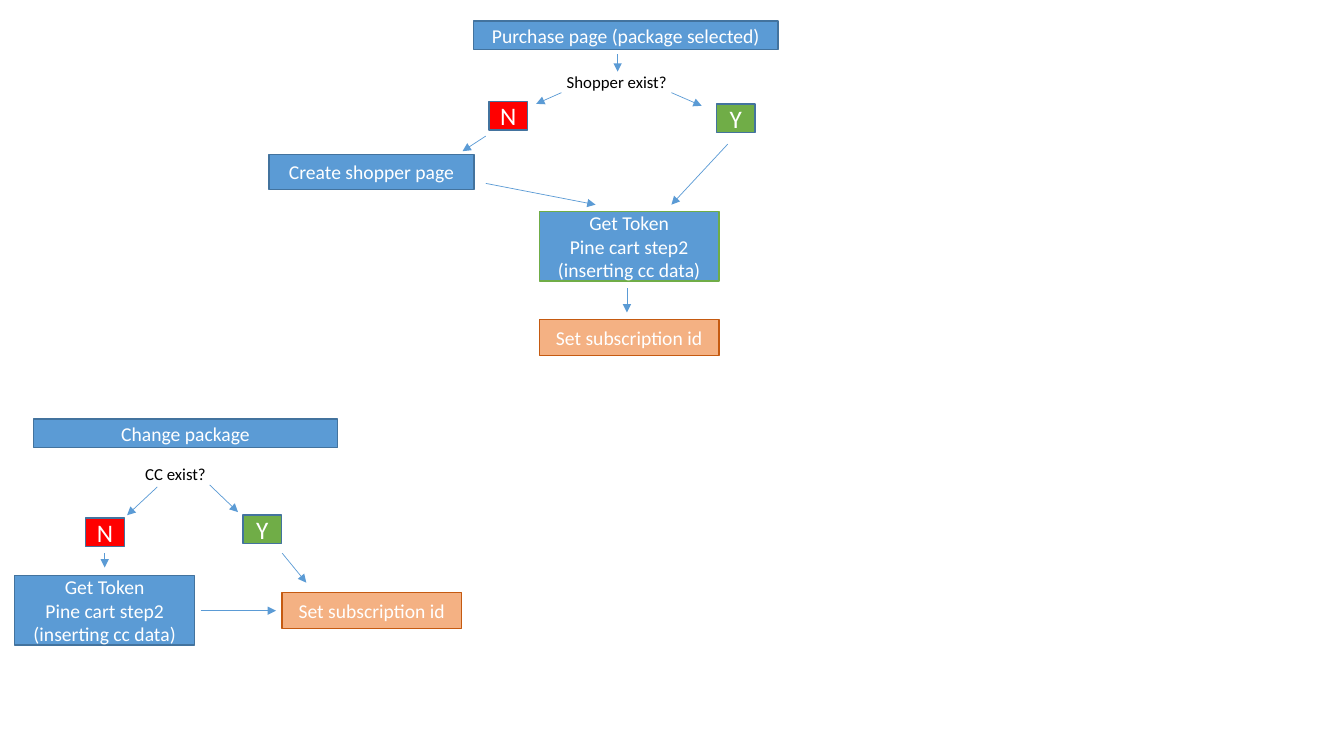
"""Build the purchase and change-package flow slide."""
from lxml import etree
from pptx import Presentation
from pptx.dml import color
from pptx.enum import shapes, text
from pptx.oxml import ns
from pptx.util import Pt

COLORS = {
    "blue": "5B9BD5", "navy": "43739E", "green": "70AD47", "red": "FF0000",
    "peach": "F4B183", "rust": "C55A11", "white": "FFFFFF", "black": "000000",
}


def rgb(name):
    return color.RGBColor.from_string(COLORS[name])


def write(sp, lines, size, ink):
    tf = sp.text_frame
    tf.word_wrap = True
    tf.text = lines
    for p in tf.paragraphs:
        p.alignment = text.PP_ALIGN.CENTER
        p.font.name = "Calibri"
        p.font.size = Pt(size)
        p.font.color.rgb = rgb(ink)


prs = Presentation()
prs.slide_width, prs.slide_height = Pt(960), Pt(540)
s = prs.slides.add_slide(prs.slide_layouts[6])

styles = {
    "page": (217.4, 20.4, "blue", 14),
    "form": (146.4, 25.4, "blue", 14),
    "token": (128.4, 49.6, "blue", 14),
    "result": (128.4, 25.4, "peach", 14),
    "yes": (27.6, 20.4, "green", 18),
    "no": (27.6, 20.4, "red", 18),
}
token = "Get Token\nPine cart step2 (inserting cc data)"
subscription = "Set subscription id"
boxes = [
    ("Purchase page (package selected)", "page", 338.4, 15, "navy"),
    ("Y", "yes", 511.8, 74.2, "navy"),
    ("N", "no", 349.2, 72.6, "navy"),
    ("Create shopper page", "form", 192.2, 110.2, "navy"),
    (token, "token", 385.2, 151.2, "green"),
    (subscription, "result", 385.2, 228.4, "rust"),
    ("Change package", "page", 23.8, 299.4, "navy"),
    ("Y", "yes", 173.6, 367.8, "navy"),
    ("N", "no", 61.2, 370, "navy"),
    (token, "token", 10.6, 411.2, "navy"),
    (subscription, "result", 201.4, 423.4, "rust"),
]
for label, style, left, top, outline in boxes:
    width, height, fill, size = styles[style]
    sp = s.shapes.add_shape(shapes.MSO_SHAPE.RECTANGLE,
                            Pt(left), Pt(top), Pt(width), Pt(height))
    sp.shadow.inherit = False
    sp.fill.solid()
    sp.fill.fore_color.rgb = rgb(fill)
    sp.line.color.rgb = rgb(outline)
    sp.line.width = Pt(1)
    sp.text_frame.vertical_anchor = text.MSO_ANCHOR.MIDDLE
    write(sp, label, size, "white")

for question, left, top in [("Shopper exist?", 393.8, 47.6), ("CC exist?", 78.6, 327.8)]:
    sp = s.shapes.add_textbox(Pt(left), Pt(top), Pt(93.6), Pt(21.8))
    write(sp, question, 12, "black")
    sp.text_frame.auto_size = text.MSO_AUTO_SIZE.SHAPE_TO_FIT_TEXT

arrows = [
    (441.2, 38.8, 441.2, 51.2),
    (401, 66.2, 383, 74.2),
    (479.6, 66.2, 501.2, 75.6),
    (347, 97.2, 330.4, 108),
    (347, 131, 425.4, 146.2),
    (519.8, 103, 479.6, 146.2),
    (447.8, 206, 447.8, 223.2),
    (112.4, 347.8, 90.8, 368),
    (149.8, 346.4, 170, 365.8),
    (74.8, 395.2, 74.8, 405.4),
    (143.4, 436.2, 197.2, 436.2),
    (201.6, 395.2, 218.8, 416.2),
]
for ends in arrows:
    arrow = s.shapes.add_connector(shapes.MSO_CONNECTOR.STRAIGHT, *map(Pt, ends))
    arrow.line.color.rgb = rgb("blue")
    arrow.line.width = Pt(0.5)
    etree.SubElement(arrow.line._get_or_add_ln(), ns.qn("a:tailEnd"), type="triangle")
    etree.SubElement(arrow._element.spPr, ns.qn("a:effectLst"))

prs.save("out.pptx")
